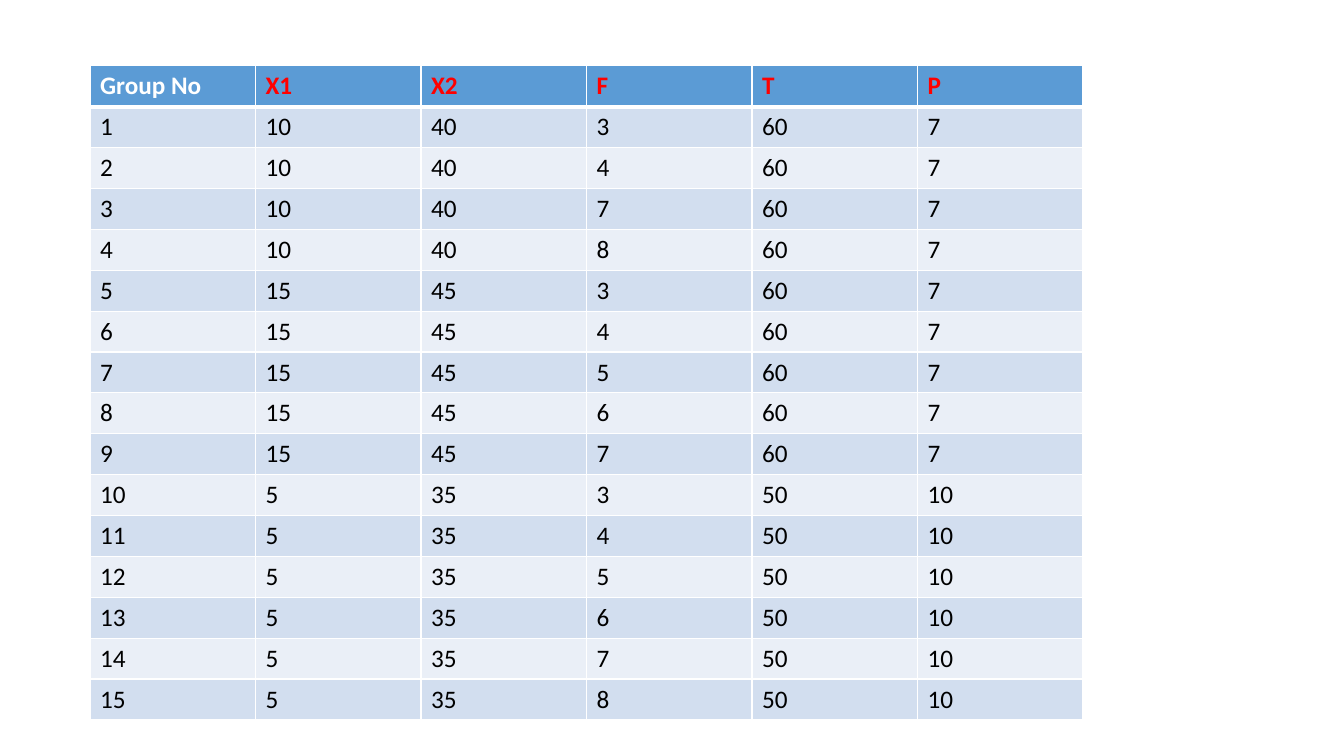
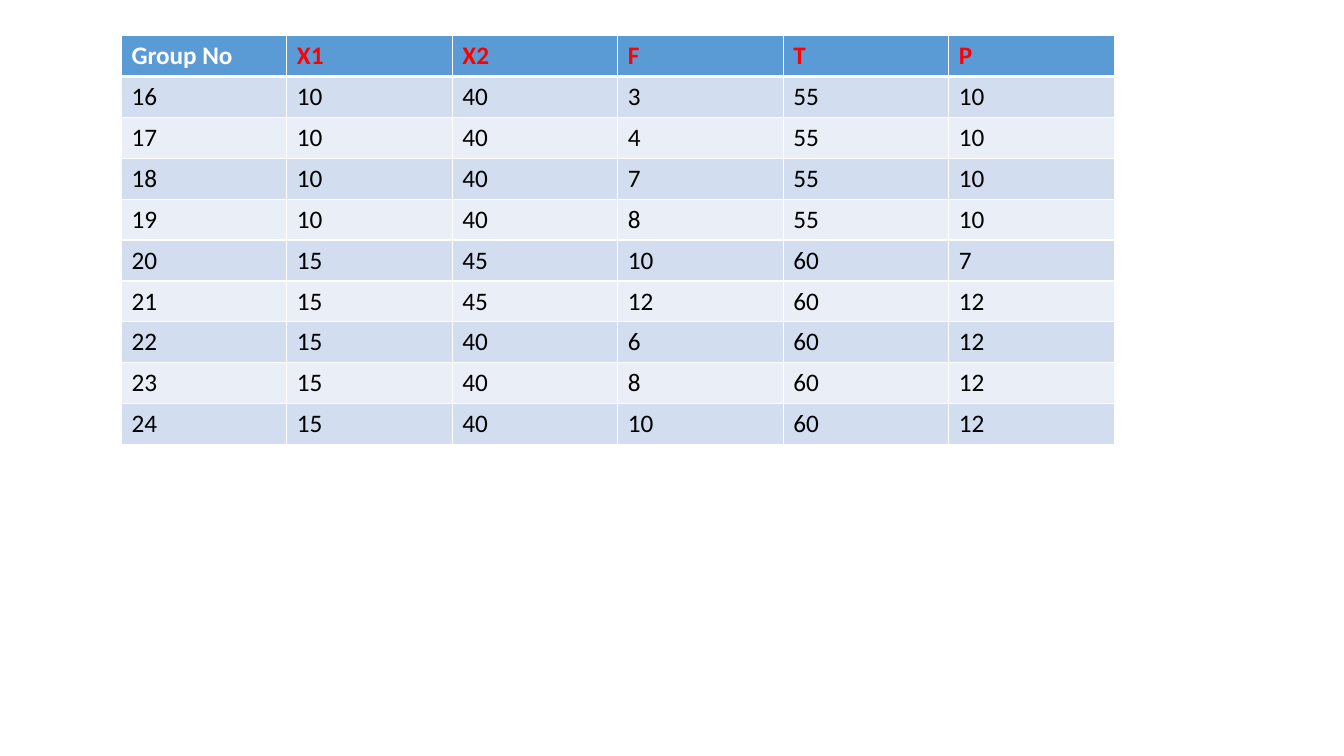
from lxml import etree
from pptx import Presentation
from pptx import util as u
from pptx.dml import color
from pptx.oxml import ns

FONT, SIZE = "Calibri", u.Pt(18)
WHITE, BLACK, RED = "FFFFFF", "000000", "FF0000"
HEADER_FILL, BANDS = "5B9BD5", ("D2DEEF", "EAEFF7")
COL_W, ROW_H = u.Cm(4.17), u.Cm(1.03)
THIN, THICK = u.Pt(1), u.Pt(3)

HEADINGS = ("Group No", "X1", "X2", "F", "T", "P")

# Consecutive groups sharing X1, X2, T and P: (X1, X2, F values, T, P)
FIRST_SERIES = [
    (10, 40, (3, 4, 7, 8), 60, 7),
    (15, 45, (3, 4, 5, 6, 7), 60, 7),
    (5, 35, (3, 4, 5, 6, 7, 8), 50, 10),
]
SECOND_SERIES = [
    (10, 40, (3, 4, 7, 8), 55, 10),
    (15, 45, (10,), 60, 7),
    (15, 45, (12,), 60, 12),
    (15, 40, (6, 8, 10), 60, 12),
]


def rgb(value):
    return color.RGBColor.from_string(value)


def expand(series, first_no):
    """Number the groups and give one table row for each F value."""
    rows = [(x1, x2, f, t, p) for x1, x2, fs, t, p in series for f in fs]
    return [(no, *row) for no, row in enumerate(rows, first_no)]


def set_borders(cell, top, bottom):
    tc_pr = cell._tc.get_or_add_tcPr()
    widths = {"a:lnL": THIN, "a:lnR": THIN, "a:lnT": top, "a:lnB": bottom}
    for tag, width in widths.items():
        ln = etree.SubElement(tc_pr, ns.qn(tag), w=str(width))
        fill = etree.SubElement(ln, ns.qn("a:solidFill"))
        etree.SubElement(fill, ns.qn("a:srgbClr"), val=WHITE)


def fill_cell(cell, value, fill, font_color, bold):
    cell.fill.solid()
    cell.fill.fore_color.rgb = rgb(fill)
    r = cell.text_frame.paragraphs[0].add_run()
    r.text = str(value)
    r.font.name, r.font.size, r.font.bold = FONT, SIZE, bold
    r.font.color.rgb = rgb(font_color)


def add_group_table(s, left, top, rows):
    n_rows, n_cols = len(rows) + 1, len(HEADINGS)
    table = s.shapes.add_table(n_rows, n_cols, left, top,
                               COL_W * n_cols, ROW_H * n_rows).table
    for col in table.columns:
        col.width = COL_W
    for i, values in enumerate([HEADINGS, *rows]):
        table.rows[i].height = ROW_H
        header = i == 0
        fill = HEADER_FILL if header else BANDS[(i - 1) % 2]
        for j, value in enumerate(values):
            cell = table.cell(i, j)
            # The heavy rule is shared by the header and the first group
            set_borders(cell, THICK if i == 1 else THIN,
                        THICK if header else THIN)
            heading_color = RED if j else WHITE
            fill_cell(cell, value, fill,
                      heading_color if header else BLACK, header)


def main():
    prs = Presentation()
    prs.slide_width, prs.slide_height = u.Cm(33.87), u.Cm(19.05)
    blank = prs.slide_layouts[6]

    # Groups 1 to 15
    add_group_table(prs.slides.add_slide(blank), u.Cm(2.27), u.Cm(1.66),
                    expand(FIRST_SERIES, 1))
    # Groups 16 to 24
    add_group_table(prs.slides.add_slide(blank), u.Cm(3.06), u.Cm(0.9),
                    expand(SECOND_SERIES, 16))
    prs.save("out.pptx")


if __name__ == "__main__":
    main()
